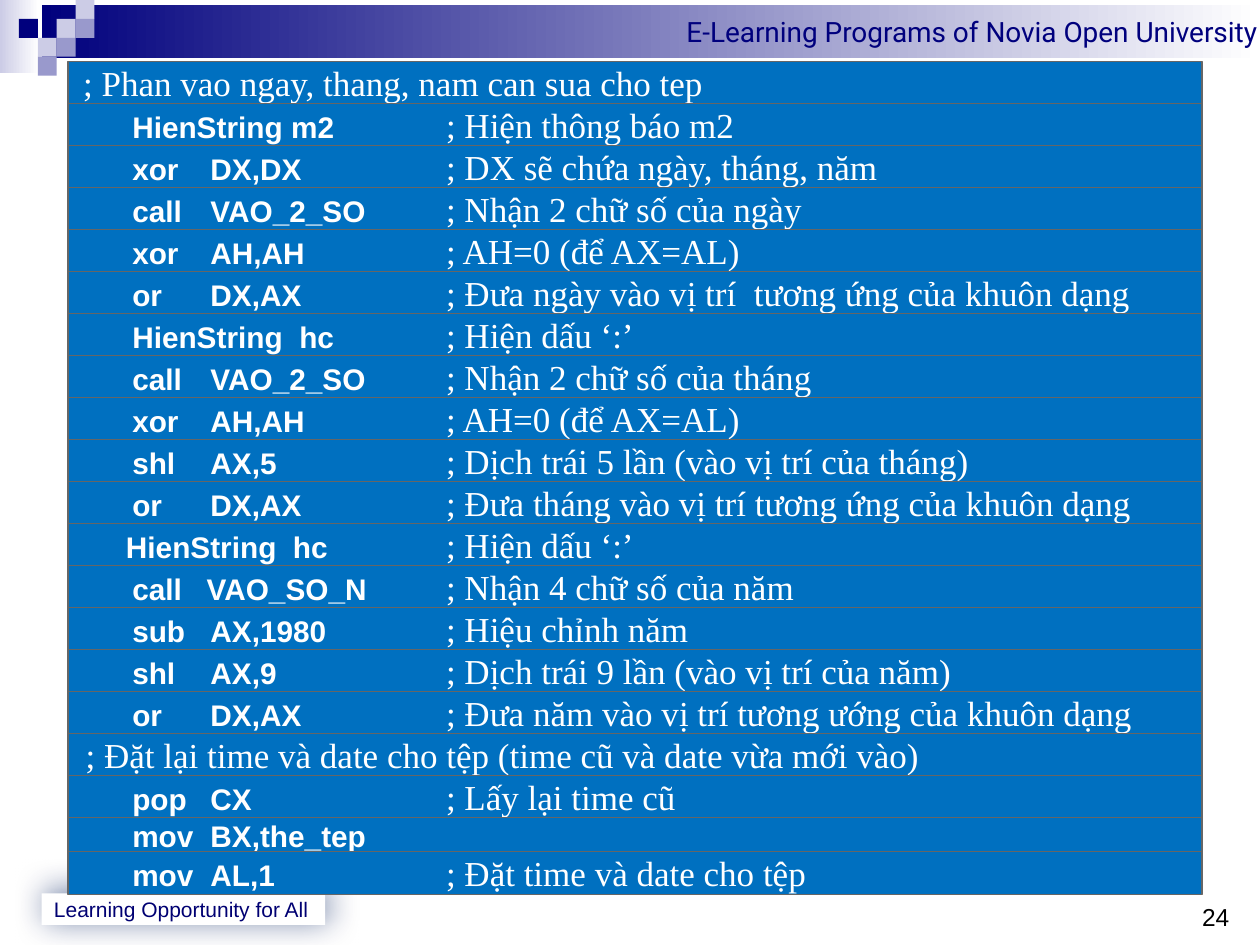
from lxml import etree
from pptx import Presentation
from pptx.dml.color import RGBColor
from pptx.enum.shapes import MSO_SHAPE as SHAPE
from pptx.enum.text import MSO_ANCHOR as ANCHOR, PP_ALIGN as ALIGN
from pptx.oxml import parse_xml
from pptx.oxml.ns import nsdecls, qn
from pptx.util import Inches, Pt

COLORS = {
    "navy": "00007D", "footer": "000072", "lilac": "CCCCE6", "violet": "9999CC",
    "white": "FFFFFF", "black": "000000", "row": "0070C0", "edge": "666666",
}


def add_rect(left, top, width, height, *fills):
    """Add a rectangle without a line; two fills make a left-to-right gradient."""
    rect = page.shapes.add_shape(
        SHAPE.RECTANGLE, Inches(left), Inches(top), Inches(width), Inches(height))
    rect.shadow.inherit = False
    rect.line.fill.background()
    if len(fills) == 2:
        rect.fill.gradient()
        rect.fill.gradient_angle = 0
        for stop, name in zip(rect.fill.gradient_stops, fills):
            stop.color.rgb = RGBColor.from_string(COLORS[name])
    else:
        rect.fill.solid()
        rect.fill.fore_color.rgb = RGBColor.from_string(COLORS[fills[0]])
    return rect


def add_span(para, text, size, font, color, bold=False):
    span = para.add_run()
    span.text = text
    span.font.size = Pt(size)
    span.font.name = font
    span.font.bold = bold
    span.font.color.rgb = RGBColor.from_string(COLORS[color])


deck = Presentation()
deck.slide_width, deck.slide_height = Inches(10), Inches(7.5)
page = deck.slides.add_slide(deck.slide_layouts[6])

# Header band and its squares
add_rect(0, 0, 0.31, 0.58, "lilac", "white")
header = add_rect(0.33, 0.04, 9.67, 0.42, "navy", "white")
header.text_frame.margin_right = Inches(0.02)
para = header.text_frame.paragraphs[0]
para.alignment = ALIGN.RIGHT
add_span(para, "E-Learning Programs of Novia Open University", 16, "Roboto", "navy")

SQUARE = 0.15
squares = [(3, 1, "lilac"), (4, 0, "lilac"), (4, 1, "violet"), (2, 2, "lilac"),
           (1, 1, "navy"), (3, 2, "violet"), (2, 3, "violet")]
for column, line, color in squares:
    add_rect(column * SQUARE, line * SQUARE, SQUARE, SQUARE, color)

# Footer
footer = add_rect(0.33, 7.09, 2.25, 0.25, "white")
para = footer.text_frame.paragraphs[0]
para.alignment = ALIGN.LEFT
add_span(para, "Learning Opportunity for All", 12, "Arial", "footer")
effects = footer._element.spPr.find(qn("a:effectLst"))
effects.append(parse_xml(
    f'<a:outerShdw {nsdecls("a")} blurRad="{Pt(19)}" dist="{Pt(3)}" dir="18900000">'
    '<a:srgbClr val="002060"><a:alpha val="56000"/></a:srgbClr></a:outerShdw>'))

number = page.shapes.add_textbox(Inches(9.54), Inches(7.11), Inches(0.3), Inches(0.3))
number.text_frame.margin_left = number.text_frame.margin_right = 0
add_span(number.text_frame.paragraphs[0], "24", 14, "Arial", "black")

# Code listing: tab stops, instruction, comment
CODE = (0.51, 1.13, 3)
MACRO = (0.51, 3)
listing = [
    ((0.12,), "", "; Phan vao ngay, thang, nam can sua cho tep"),
    (MACRO, "HienString m2", "; Hiện thông báo m2"),
    (CODE, "xor\tDX,DX", "; DX sẽ chứa ngày, tháng, năm"),
    (CODE, "call\tVAO_2_SO", "; Nhận 2 chữ số của ngày"),
    (CODE, "xor\tAH,AH", "; AH=0 (để AX=AL)"),
    (CODE, "or\tDX,AX", "; Đưa ngày vào vị trí  tương ứng của khuôn dạng"),
    (MACRO, "HienString  hc", "; Hiện dấu ‘:’"),
    (CODE, "call\tVAO_2_SO", "; Nhận 2 chữ số của tháng"),
    (CODE, "xor\tAH,AH", "; AH=0 (để AX=AL)"),
    (CODE, "shl\tAX,5", "; Dịch trái 5 lần (vào vị trí của tháng)"),
    (CODE, "or\tDX,AX", "; Đưa tháng vào vị trí tương ứng của khuôn dạng"),
    ((0.46, 3), "HienString  hc", "; Hiện dấu ‘:’"),
    ((0.51, 1.1, 3), "call\tVAO_SO_N", "; Nhận 4 chữ số của năm"),
    (CODE, "sub\tAX,1980", "; Hiệu chỉnh năm"),
    (CODE, "shl\tAX,9", "; Dịch trái 9 lần (vào vị trí của năm)"),
    (CODE, "or\tDX,AX", "; Đưa năm vào vị trí tương ướng của khuôn dạng"),
    ((0.14,), "", "; Đặt lại time và date cho tệp (time cũ và date vừa mới vào)"),
    (CODE, "pop\tCX", "; Lấy lại time cũ"),
    (CODE, "mov\tBX,the_tep", ""),
    (CODE, "mov\tAL,1", "; Đặt time và date cho tệp"),
]
FIRST_TOP, LAST_TOP, PITCH = 0.49, 6.76, 1 / 3
for index, (stops, code, comment) in enumerate(listing):
    top = min(FIRST_TOP + index * PITCH, LAST_TOP)
    row = add_rect(0.54, top, 9, 0.34 if comment else 0.29, "row")
    row.line.color.rgb = RGBColor.from_string(COLORS["edge"])
    row.line.width = Pt(0.75)
    frame = row.text_frame
    frame.margin_left = frame.margin_right = frame.margin_top = frame.margin_bottom = 0
    frame.vertical_anchor = ANCHOR.TOP
    para = frame.paragraphs[0]
    para.alignment = ALIGN.LEFT
    tab_list = etree.SubElement(para._p.get_or_add_pPr(), qn("a:tabLst"))
    for stop in stops:
        etree.SubElement(tab_list, qn("a:tab"), pos=str(Inches(stop)), algn="l")
    if code:
        add_span(para, "\t" + code, 17, "Arial", "white", bold=True)
    if comment:
        add_span(para, "\t" + comment, 20, "Times New Roman", "white")

deck.save("out.pptx")
